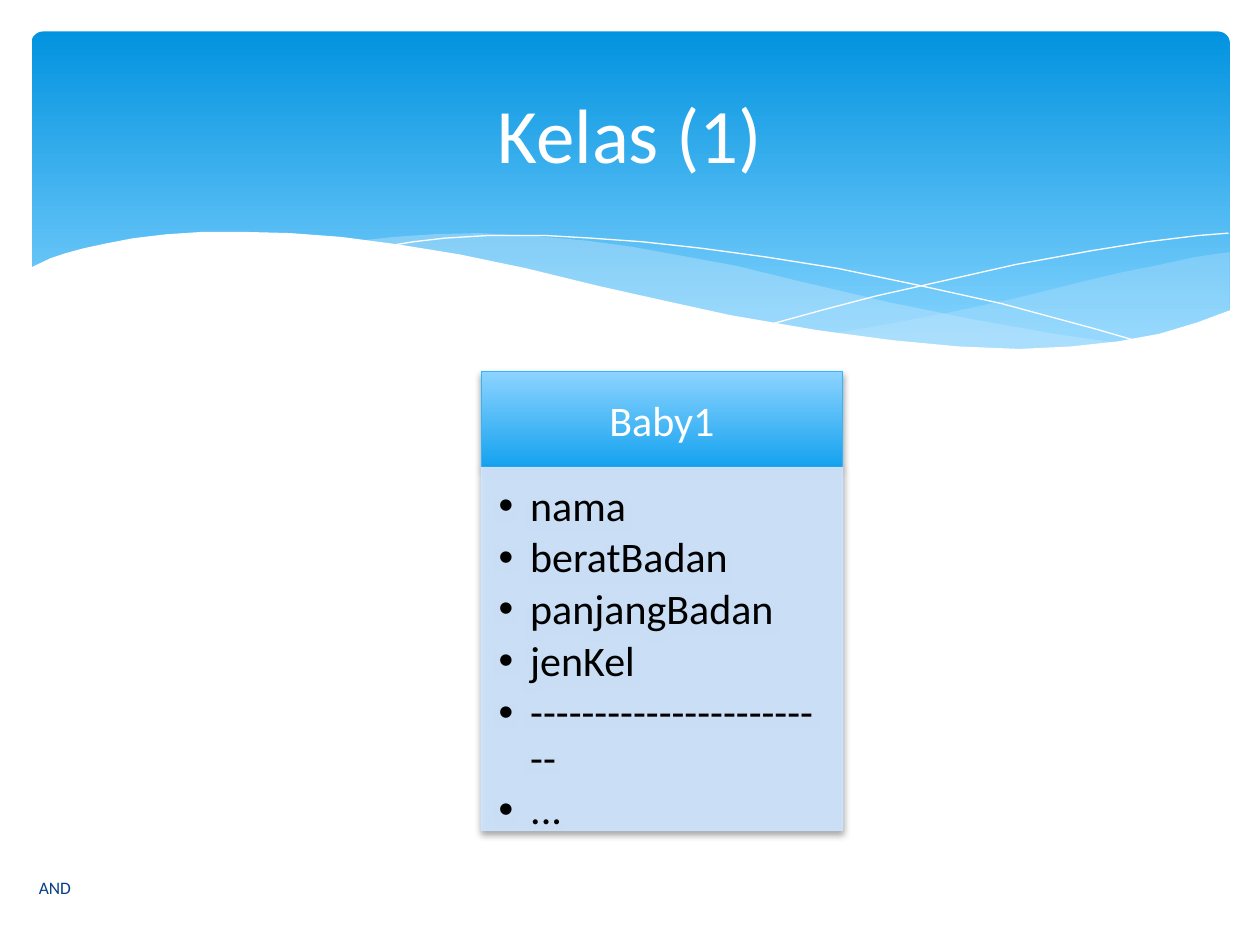
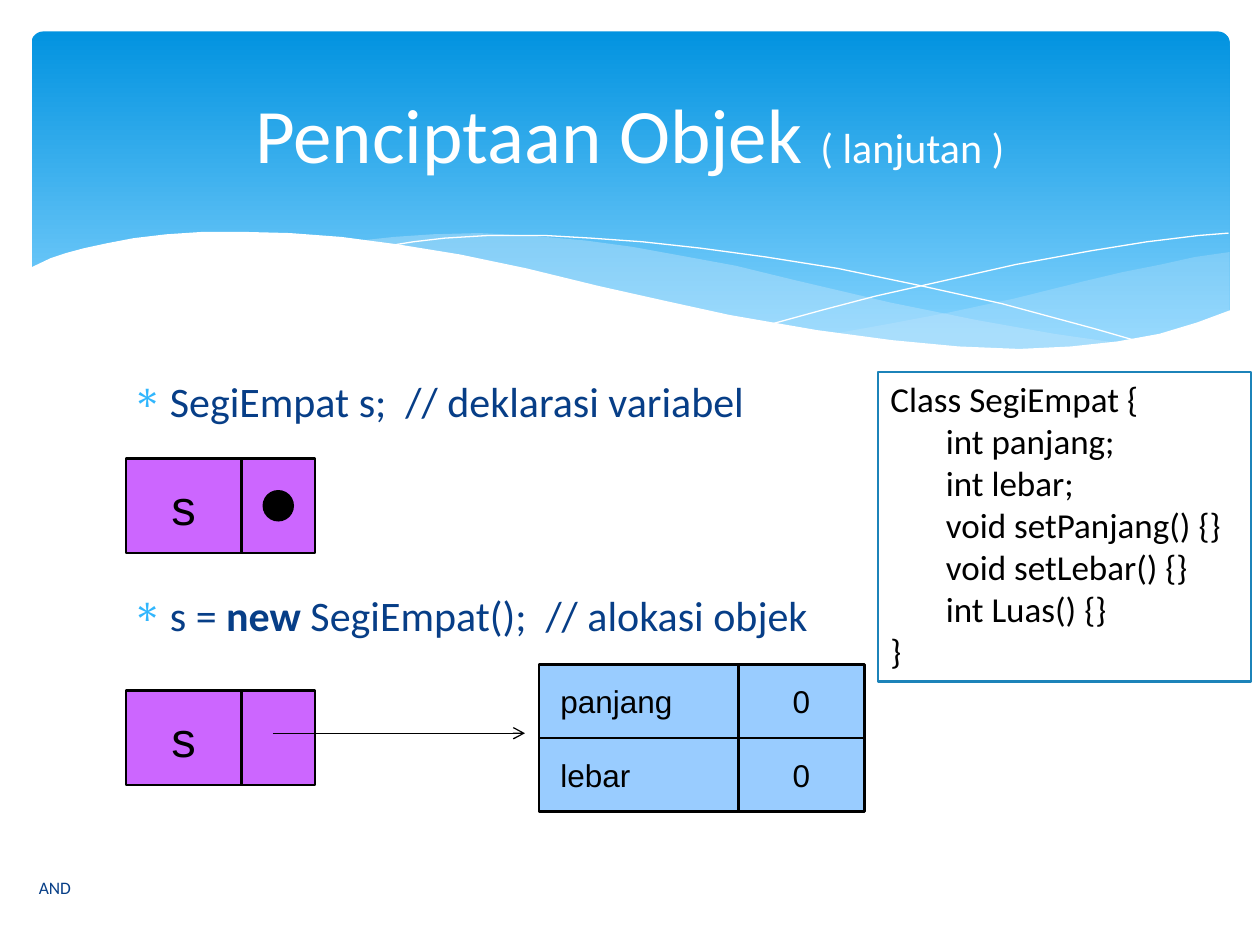
import lxml.etree
import pptx
import pptx.dml.color
import pptx.enum.dml
import pptx.enum.shapes
import pptx.enum.text
import pptx.oxml.ns
import pptx.util

WHITE = pptx.dml.color.RGBColor(0xFF, 0xFF, 0xFF)
BLACK = pptx.dml.color.RGBColor(0x00, 0x00, 0x00)
NAVY = pptx.dml.color.RGBColor(0x07, 0x3E, 0x87)
BAND_TOP = pptx.dml.color.RGBColor(0x02, 0x93, 0xE0)
BAND_BOTTOM = pptx.dml.color.RGBColor(0x83, 0xD3, 0xFE)
WAVE = pptx.dml.color.RGBColor(0xC6, 0xE7, 0xFC)
HEADER_TOP = pptx.dml.color.RGBColor(0x8C, 0xD3, 0xFF)
HEADER_BOTTOM = pptx.dml.color.RGBColor(0x14, 0xA2, 0xEF)
SKY = pptx.dml.color.RGBColor(0x31, 0xB6, 0xFD)
PALE = pptx.dml.color.RGBColor(0xCE, 0xE5, 0xFE)
PURPLE = pptx.dml.color.RGBColor(0xCC, 0x66, 0xFF)
LIGHT_BLUE = pptx.dml.color.RGBColor(0x99, 0xCC, 0xFF)
CODE_BORDER = pptx.dml.color.RGBColor(0x1C, 0x83, 0xB9)

MIDDLE = pptx.enum.text.MSO_ANCHOR.MIDDLE
TOP = pptx.enum.text.MSO_ANCHOR.TOP
CENTER = pptx.enum.text.PP_ALIGN.CENTER
LEFT = pptx.enum.text.PP_ALIGN.LEFT
RECTANGLE = pptx.enum.shapes.MSO_SHAPE.RECTANGLE

RIGHT_WAVE = [
    (702.7, 144), (682.6, 146.9), (663.1, 151.2), (641.5, 155.5), (619.9, 160.6),
    (579.6, 170.6), (542.2, 178.6), (508.3, 185), (475.9, 190.8), (497.5, 193.7),
    (517.7, 195.8), (545, 198.7), (578.2, 200.2), (607.7, 199.4), (634.3, 196.6),
    (657.4, 192.2), (678.2, 186.5), (702.7, 177.8)]
LONG_WAVE = [
    (643, 196.6), (602.6, 190.8), (558, 182.9), (508.3, 172.8), (452.9, 159.8),
    (420.5, 151.9), (389.5, 146.2), (361.4, 141.1), (334.8, 137.5), (302.4, 134.6),
    (273.6, 133.2), (247.7, 133.9), (225.4, 135.4), (205.9, 137.5), (232.6, 141.1),
    (260.6, 146.2), (290.9, 151.9), (323.3, 159.8), (381.6, 172.8), (432.7, 183.6),
    (478.8, 191.5), (519.8, 197.3), (556.6, 199.4), (589, 200.2), (617, 199.4)]
FALLING_LINE = [
    (222.5, 140.4), (236.2, 138.2), (254.2, 136.1), (278.6, 134.6), (311.8, 134.6),
    (337.7, 136.1), (367.2, 138.2), (400.3, 141.8), (437.8, 146.9), (478.8, 153.4),
    (523.4, 162.7), (572.4, 173.5), (625.7, 187.9), (653, 195.8)]
RISING_LINE = [
    (441.4, 185), (470.2, 177.1), (500.4, 169.2), (538.6, 160.6), (580.3, 151.2),
    (623.5, 143.3), (655.2, 138.2), (684.7, 134.6), (702, 133.2)]
WHITE_WAVE = [
    (703.4, 177.1), (684, 184.3), (662.4, 190.8), (638.6, 195.1), (612, 198),
    (582.5, 199.4), (547.9, 198), (509.8, 194.4), (466.6, 188.6), (416.9, 180),
    (380.9, 172.1), (342, 163.4), (301, 153.4), (262.8, 145.4), (227.5, 139.7),
    (195.1, 135.4), (165.6, 133.2), (139, 132.5), (115.9, 132.5), (95, 133.9),
    (76.3, 136.1), (61.2, 139), (48.2, 141.8), (37.4, 144.7), (28.8, 147.6),
    (16.6, 153.4), (16.6, 236.9), (703.4, 236.9)]


def add_panel(page, frame, fill, line=BLACK, weight=1.5, kind=RECTANGLE):
    panel = page.shapes.add_shape(kind, *[pptx.util.Pt(value) for value in frame])
    panel.shadow.inherit = False
    if isinstance(fill, list):
        panel.fill.gradient()
        panel.fill.gradient_angle = 270
        for stop, (position, color) in zip(panel.fill.gradient_stops, fill):
            stop.position = position
            stop.color.rgb = color
    else:
        panel.fill.solid()
        panel.fill.fore_color.rgb = fill
    if line is None:
        panel.line.fill.background()
    else:
        panel.line.color.rgb = line
        panel.line.width = pptx.util.Pt(weight)
    return panel


def write(para, text, size, color=BLACK, font="Calibri", align=LEFT, bold=False):
    para.alignment = align
    span = para.add_run()
    span.text = text
    span.font.name = font
    span.font.size = pptx.util.Pt(size)
    span.font.color.rgb = color
    span.font.bold = bold


deck = pptx.Presentation()
deck.slide_width = pptx.util.Pt(720)
deck.slide_height = pptx.util.Pt(540)
layout = deck.slide_layouts[5]
translucent = []
bulleted = []

titles = [[("Kelas (1)", 44)], [("Penciptaan Objek ", 44), ("( lanjutan )", 24)]]
for parts in titles:
    page = deck.slides.add_slide(layout)
    title = page.shapes.title
    title.left, title.top = pptx.util.Pt(36), pptx.util.Pt(26.6)
    title.width, title.height = pptx.util.Pt(648), pptx.util.Pt(98.6)
    title.text_frame.vertical_anchor = MIDDLE
    for text, size in parts:
        write(title.text_frame.paragraphs[0], text, size, WHITE, align=CENTER)
    footer = page.shapes.add_textbox(pptx.util.Pt(15.1), pptx.util.Pt(492.5),
                                     pptx.util.Pt(298), pptx.util.Pt(28.8))
    footer.text_frame.word_wrap = True
    footer.text_frame.vertical_anchor = MIDDLE
    write(footer.text_frame.paragraphs[0], "AND", 10, NAVY)

class_page, object_page = deck.slides

band = add_panel(class_page, (18, 18, 684.7, 194.4), [(0, BAND_TOP), (0.9, BAND_BOTTOM)],
                 line=None, kind=pptx.enum.shapes.MSO_SHAPE.ROUNDED_RECTANGLE)
band.adjustments[0] = 0.034
backdrop = [band]
waves = [(RIGHT_WAVE, WAVE, 29), (LONG_WAVE, WAVE, 40), (FALLING_LINE, None, 100),
         (RISING_LINE, None, 100), (WHITE_WAVE, WHITE, 100)]
for points, color, opacity in waves:
    corners = [(pptx.util.Pt(x), pptx.util.Pt(y)) for x, y in points]
    builder = class_page.shapes.build_freeform(*corners[0])
    builder.add_line_segments(corners[1:], close=color is not None)
    wave = builder.convert_to_shape()
    wave.shadow.inherit = False
    if color is None:
        wave.fill.background()
        wave.line.color.rgb = WHITE
        wave.line.width = pptx.util.Pt(0)
    else:
        wave.fill.solid()
        wave.fill.fore_color.rgb = color
        wave.line.fill.background()
    if opacity < 100:
        translucent.append((wave, opacity))
    backdrop.append(wave)
for position, shape in enumerate(backdrop, start=2):
    layout.shapes.element.insert(position, shape.element)

header = add_panel(class_page, (275, 212.4, 206.6, 54.7),
                   [(0, HEADER_TOP), (1, HEADER_BOTTOM)], SKY, 0.75)
header.text_frame.vertical_anchor = MIDDLE
write(header.text_frame.paragraphs[0], "Baby1", 24, WHITE, align=CENTER)

members = add_panel(class_page, (275, 267.1, 206.6, 207.4), PALE, PALE, 0.75)
translucent.append((members, 90))
frame = members.text_frame
frame.word_wrap = True
frame.vertical_anchor = TOP
frame.margin_left = frame.margin_top = pptx.util.Pt(10)
frame.margin_right, frame.margin_bottom = pptx.util.Pt(13.5), pptx.util.Pt(15)
names = ["nama", "beratBadan", "panjangBadan", "jenKel", "-" * 24, "..."]
for index, name in enumerate(names):
    para = frame.add_paragraph() if index else frame.paragraphs[0]
    para.line_spacing = 0.9
    para.space_after = pptx.util.Pt(3.6)
    write(para, name, 24)
    bulleted.append((para, 18, BLACK, "Arial", "•"))

statements = object_page.shapes.add_textbox(pptx.util.Pt(68.4), pptx.util.Pt(211),
                                            pptx.util.Pt(583.2), pptx.util.Pt(271.4))
statements.text_frame.word_wrap = True
lines = [[("SegiEmpat s;  // deklarasi variabel", False)],
         [("s = ", False), ("new ", True), ("SegiEmpat();  // alokasi objek", False)]]
for index, parts in enumerate(lines):
    para = statements.text_frame.paragraphs[0]
    if index:
        para = statements.text_frame.add_paragraph()
        para.space_before = pptx.util.Pt(93.6)
    for text, bold in parts:
        write(para, text, 24, NAVY, bold=bold)
    bulleted.append((para, 21.6, SKY, "Symbol", "∗"))

for top in (262, 394.5):
    variable = add_panel(object_page, (72, top, 66, 54), PURPLE)
    variable.text_frame.vertical_anchor = MIDDLE
    write(variable.text_frame.paragraphs[0], "s", 28, font="Arial", align=CENTER)
    add_panel(object_page, (138, top, 42, 54), PURPLE)
add_panel(object_page, (150, 280, 18, 18), BLACK, None,
          kind=pptx.enum.shapes.MSO_SHAPE.OVAL)

for row, field in enumerate(["panjang", "lebar"]):
    top = 379.6 + 42.1 * row
    cells = [(308, 114, field, LEFT), (422, 72, "0", CENTER)]
    for left, width, text, align in cells:
        cell = add_panel(object_page, (left, top, width, 42.1), LIGHT_BLUE)
        cell.text_frame.vertical_anchor = MIDDLE
        if align == LEFT:
            cell.text_frame.margin_left = pptx.util.Pt(12.2)
        write(cell.text_frame.paragraphs[0], text, 18, font="Arial", align=align)

reference = object_page.shapes.add_connector(
    pptx.enum.shapes.MSO_CONNECTOR.STRAIGHT, pptx.util.Pt(156), pptx.util.Pt(419),
    pptx.util.Pt(300), pptx.util.Pt(419))
reference.line.color.rgb = BLACK
reference.line.width = pptx.util.Pt(0.75)
lxml.etree.SubElement(reference.line._get_or_add_ln(), pptx.oxml.ns.qn("a:tailEnd"),
                      type="arrow")
lxml.etree.SubElement(reference.element.spPr, pptx.oxml.ns.qn("a:effectLst"))

code = add_panel(object_page, (501.8, 212.4, 213.1, 177.1), WHITE, CODE_BORDER, 1.25)
code.text_frame.word_wrap = True
code.text_frame.vertical_anchor = TOP
code_lines = ["Class SegiEmpat {", "int panjang;", "int lebar;", "void setPanjang() {}",
              "void setLebar() {}", "int Luas() {}", "}"]
for index, text in enumerate(code_lines):
    para = code.text_frame.add_paragraph() if index else code.text_frame.paragraphs[0]
    write(para, text, 20)
    if 0 < index < len(code_lines) - 1:
        para._p.get_or_add_pPr().set("marL", str(pptx.util.Pt(31.6)))

for para, indent, color, font, mark in bulleted:
    properties = para._p.get_or_add_pPr()
    properties.set("marL", str(pptx.util.Pt(indent)))
    properties.set("indent", str(-pptx.util.Pt(indent)))
    tint = lxml.etree.SubElement(properties, pptx.oxml.ns.qn("a:buClr"))
    lxml.etree.SubElement(tint, pptx.oxml.ns.qn("a:srgbClr"), val=str(color))
    lxml.etree.SubElement(properties, pptx.oxml.ns.qn("a:buFont"), typeface=font)
    lxml.etree.SubElement(properties, pptx.oxml.ns.qn("a:buChar"), char=mark)

for shape, opacity in translucent:
    for color in shape.element.spPr.iter(pptx.oxml.ns.qn("a:srgbClr")):
        lxml.etree.SubElement(color, pptx.oxml.ns.qn("a:alpha"), val=str(opacity * 1000))

for shape in (header, members):
    effects = shape.element.spPr.find(pptx.oxml.ns.qn("a:effectLst"))
    shadow = lxml.etree.SubElement(
        effects, pptx.oxml.ns.qn("a:outerShdw"), blurRad=str(pptx.util.Pt(4)),
        dist=str(pptx.util.Pt(2)), dir="5400000", rotWithShape="0")
    color = lxml.etree.SubElement(shadow, pptx.oxml.ns.qn("a:srgbClr"), val=str(BLACK))
    lxml.etree.SubElement(color, pptx.oxml.ns.qn("a:alpha"), val="38000")

deck.save("out.pptx")
